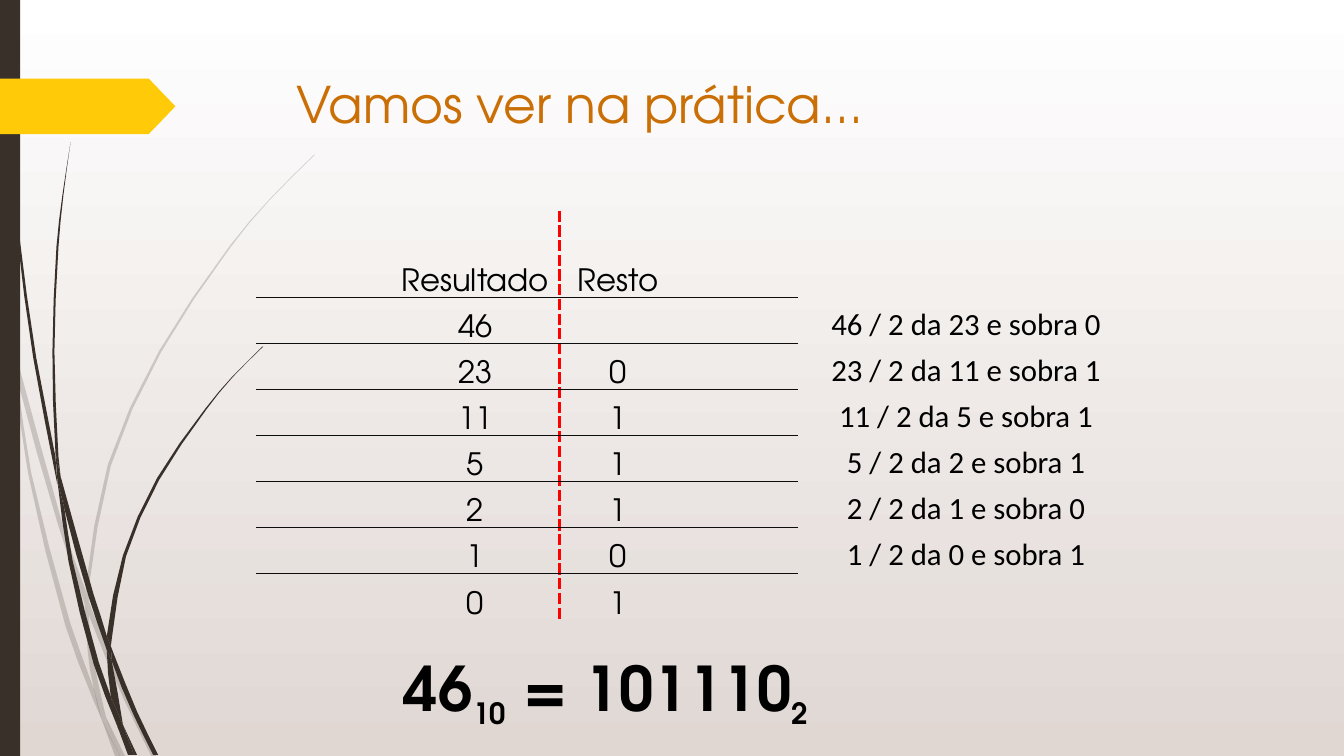
from dataclasses import dataclass

from lxml import etree
from pptx import Presentation
from pptx.dml.color import RGBColor
from pptx.enum.shapes import MSO_SHAPE
from pptx.enum.text import MSO_ANCHOR, MSO_AUTO_SIZE, PP_ALIGN
from pptx.oxml.ns import qn
from pptx.util import Inches, Pt

RECT, ARROW = MSO_SHAPE.RECTANGLE, MSO_SHAPE.PENTAGON
TOP, LOW = MSO_ANCHOR.TOP, MSO_ANCHOR.BOTTOM
LEFT, MID = PP_ALIGN.LEFT, PP_ALIGN.CENTER
NO_FIT, GROW = MSO_AUTO_SIZE.NONE, MSO_AUTO_SIZE.SHAPE_TO_FIT_TEXT


@dataclass(frozen=True)
class Theme:
    sky: str = "FFFFFF"
    sand: str = "E0D7D3"
    dark: str = "39302A"
    gold: str = "FFCA08"
    rust: str = "CA6F06"
    ink: str = "000000"
    rule: str = "0D0D0D"
    red: str = "FF0000"
    main: str = "TeX Gyre Adventor"
    note: str = "Calibri"
    head: int = 36
    body: int = 22
    big: int = 44
    sub: int = 36


class Deck:
    """Holds the theme and the current slide, and draws each kind of element."""

    def __init__(self, theme):
        self.theme = theme
        self.prs = Presentation()
        self.prs.slide_width, self.prs.slide_height = Inches(40 / 3), Inches(7.5)
        self.slide = self.prs.slides.add_slide(self.prs.slide_layouts[5])
        fill = self.slide.background.fill
        fill.gradient()
        fill.gradient_angle = 270
        for stop, color in zip(fill.gradient_stops, (theme.sky, theme.sand)):
            stop.color.rgb = RGBColor.from_string(color)

    def paint(self, shape, color, alpha=100):
        shape.shadow.inherit = False
        shape.fill.solid()
        shape.fill.fore_color.rgb = RGBColor.from_string(color)
        shape.line.fill.background()
        if alpha < 100:
            tone = shape.element.spPr.find(qn("a:solidFill"))[0]
            etree.SubElement(tone, qn("a:alpha"), val=str(alpha * 1000))

    def block(self, kind, box, color):
        shape = self.slide.shapes.add_shape(kind, *map(Inches, box))
        self.paint(shape, color)
        return shape

    def blade(self, left, right, alpha):
        outline = curve(left) + curve(right)[::-1]
        dots = [(Inches(x), Inches(y)) for x, y in outline]
        pen = self.slide.shapes.build_freeform(*dots[0])
        pen.add_line_segments(dots[1:])
        self.paint(pen.convert_to_shape(), self.theme.dark, alpha)

    def run(self, para, text, size, color, font=None, bold=False, base=0):
        run = para.add_run()
        run.text = text
        run.font.name = font or self.theme.main
        run.font.size, run.font.bold = Pt(size), bold
        run.font.color.rgb = RGBColor.from_string(color)
        if base:
            run.font._element.set("baseline", str(base * 1000))

    def title(self, text, box):
        shape = self.slide.shapes.title
        shape.left, shape.top, shape.width, shape.height = map(Inches, box)
        frame = shape.text_frame
        frame.vertical_anchor, frame.auto_size = TOP, NO_FIT
        para = frame.paragraphs[0]
        para.alignment = LEFT
        self.run(para, text, self.theme.head, self.theme.rust)
        shape.element.getparent().append(shape.element)

    def sum(self, parts, box):
        frame = self.slide.shapes.add_textbox(*map(Inches, box)).text_frame
        frame.word_wrap, frame.auto_size = False, GROW
        for text, size, base in parts:
            self.run(frame.paragraphs[0], text, size, self.theme.ink,
                     bold=True, base=base)

    def edge(self, cell, sides):
        props = cell._tc.get_or_add_tcPr()
        for spot, side in enumerate("LRTB"):
            line = etree.Element(qn("a:ln" + side))
            props.insert(spot, line)
            if side not in sides:
                etree.SubElement(line, qn("a:noFill"))
                continue
            color, width, dash = sides[side]
            line.set("w", str(Pt(width)))
            fill = etree.SubElement(line, qn("a:solidFill"))
            etree.SubElement(fill, qn("a:srgbClr"), val=color)
            etree.SubElement(line, qn("a:prstDash"), val=dash)

    def table(self, data, box, cols, rows):
        look = self.theme
        thin, dash = (look.rule, 1, "solid"), (look.red, 3, "sysDash")
        table = self.slide.shapes.add_table(
            len(rows), len(cols), *map(Inches, box)).table
        table.first_row = table.horz_banding = False
        for col, width in zip(table.columns, cols):
            col.width = Inches(width)
        for row, height in zip(table.rows, rows):
            row.height = Inches(height)
        last = len(cols) - 1
        for r, line in enumerate(data):
            for c, text in enumerate(line):
                cell = table.cell(r, c)
                cell.fill.background()
                cell.vertical_anchor = LOW
                cell.margin_left = cell.margin_right = Inches(0.01)
                cell.margin_top, cell.margin_bottom = Inches(0.01), 0
                sides = {}
                if c < last and r > 0:
                    sides["T"] = thin
                if c < last and r < len(rows) - 1:
                    sides["B"] = thin
                if c in (1, 2):
                    sides["R" if c == 1 else "L"] = dash
                self.edge(cell, sides)
                para = cell.text_frame.paragraphs[0]
                para.alignment = MID
                if text:
                    self.run(para, text, look.body, look.ink,
                             look.note if c == last else look.main)


def curve(knots):
    ends = [knots[0], *knots, knots[-1]]
    slopes = [(c[0] - a[0]) / (c[1] - a[1]) for a, c in zip(ends, ends[2:])]
    dots = []
    for i, ((x, y), (u, v)) in enumerate(zip(knots, knots[1:])):
        dots.append((x, y))
        if v - y > 0.3:
            bend = (v - y) * (slopes[i] - slopes[i + 1]) / 8
            dots.append(((x + u) / 2 + bend, (y + v) / 2))
    return dots + [knots[-1]]


PALE = [
    ([(0, 2.82), (0, 2.99), (0.1, 3.44), (0.11, 3.5)], [(0, 2.82), (0.09, 3.22), (0.11, 3.5)]),
    ([(0.14, 3.45), (0.17, 3.76), (0.58, 5.22), (0.84, 5.99)], [(0.14, 3.45), (0.62, 5.2), (0.85, 5.86)]),
    ([(0.88, 5.96), (0.88, 6.1), (1.23, 6.94), (1.5, 7.5)], [(0.88, 5.96), (0.92, 6.07), (1.27, 6.92), (1.55, 7.5)]),
    ([(1.05, 7.11), (1.19, 7.5)], [(1.05, 7.11), (1.24, 7.5)]),
    ([(0.11, 3.5), (0.28, 4.7), (0.65, 6.21), (0.92, 6.93), (1.01, 7.14)],
     [(0.11, 3.5), (0.17, 3.76), (0.31, 4.69), (0.7, 6.19), (0.93, 6.83), (1.01, 7.14)]),
    ([(0.84, 5.99), (0.87, 6.46), (0.93, 6.83), (1.05, 7.11)], [(0.84, 5.99), (0.88, 6.1), (0.91, 6.46), (1.05, 7.11)]),
    ([(3.12, 1.53), (2.68, 1.97), (2.28, 2.44), (1.58, 3.48), (1.07, 4.61), (0.85, 5.84), (0.88, 5.96)],
     [(3.12, 1.54), (2.68, 1.98), (2.29, 2.45), (1.6, 3.49), (1.1, 4.62), (0.88, 5.84), (0.88, 5.96)]),
    ([(1.01, 7.14), (1.14, 7.5)], [(1.01, 7.14), (1.19, 7.5)]),
    ([(0.85, 5.86), (0.84, 5.99), (0.88, 6.1)], [(0.85, 5.86), (0.88, 5.96), (0.88, 6.1)]),
    ([(0.93, 6.83), (1.01, 7.14), (1.19, 7.5)], [(0.93, 6.83), (1.05, 7.11), (1.19, 7.5)]),
]
DEEP = [
    ([(0.03, 0), (0.07, 1.1), (0.17, 2.33), (0.33, 3.55), (0.57, 4.81)],
     [(0.04, 0), (0.08, 1.09), (0.19, 2.32), (0.36, 3.55), (0.55, 4.53), (0.57, 4.81)]),
    ([(0.6, 4.72), (0.64, 5.05), (0.88, 5.92), (1.06, 6.45)], [(0.6, 4.72), (0.93, 5.9), (1.06, 6.31), (1.06, 6.45)]),
    ([(1.1, 6.41), (1.11, 6.56), (1.32, 7.08), (1.52, 7.49)], [(1.1, 6.41), (1.13, 6.49), (1.36, 7.06), (1.57, 7.49)]),
    ([(0.57, 4.77), (0.68, 5.57), (0.93, 6.59), (1.17, 7.22)],
     [(0.57, 4.77), (0.64, 5.05), (0.72, 5.56), (0.98, 6.57), (1.1, 6.91), (1.17, 7.22)]),
    ([(0.7, 1.41), (0.62, 1.93), (0.56, 2.45), (0.52, 3.49), (0.55, 4.49), (0.6, 4.72)],
     [(0.7, 1.41), (0.63, 1.93), (0.58, 2.45), (0.54, 3.49), (0.58, 4.53), (0.6, 4.72)]),
    ([(1.22, 7.19), (1.33, 7.49)], [(1.22, 7.19), (1.36, 7.49)]),
    ([(0.55, 4.49), (0.57, 4.77), (0.64, 5.05)], [(0.55, 4.49), (0.6, 4.72), (0.64, 5.05)]),
    ([(2.6, 3.44), (2.31, 3.73), (2.04, 4.05), (1.56, 4.74), (1.22, 5.51), (1.06, 6.31), (1.1, 6.41)],
     [(2.61, 3.44), (2.31, 3.74), (2.05, 4.06), (1.58, 4.76), (1.25, 5.52), (1.11, 6.33), (1.1, 6.41)]),
    ([(1.17, 7.22), (1.27, 7.49)], [(1.17, 7.22), (1.31, 7.49)]),
    ([(1.06, 6.45), (1.1, 6.91), (1.22, 7.19)], [(1.06, 6.45), (1.11, 6.56), (1.22, 7.19)]),
    ([(1.06, 6.31), (1.06, 6.45), (1.11, 6.56)], [(1.06, 6.31), (1.1, 6.41), (1.11, 6.56)]),
    ([(1.1, 6.91), (1.17, 7.22), (1.3, 7.49)], [(1.1, 6.91), (1.22, 7.19), (1.33, 7.49)]),
]


def main():
    look = Theme()
    deck = Deck(look)
    for group, alpha in ((PALE, 20), (DEEP, 100)):
        for left, right in group:
            deck.blade(left, right, alpha)
    deck.block(RECT, (0, 0, 0.2, 7.5), look.dark)
    tag = deck.block(ARROW, (0, 0.78, 1.74, 0.55), look.gold)
    tag.adjustments[0] = 0.48

    start = 46
    data = [["", "Resultado", "Resto", "", ""]]
    num, rest = start, ""
    while num:
        half, odd = divmod(num, 2)
        data.append(["", str(num), rest, "", f"{num} / 2 da {half} e sobra {odd}"])
        num, rest = half, str(odd)
    data.append(["", str(num), rest, "", ""])
    deck.table(data, (2.54, 2.09, 8.71, 4.06), (1.34, 1.67, 1.16, 1.21, 3.33),
               [0.86] + [(4.06 - 0.86) / 7] * 7)
    deck.sum([(str(start), look.big, 0), ("10", look.sub, -25),
              (f" = {start:b}", look.big, 0), ("2", look.sub, -25)],
             (3.91, 6.4, 4.33, 0.84))
    deck.title("Vamos ver na prática...", (2.84, 0.68, 9.75, 1.4))
    deck.prs.save("out.pptx")


if __name__ == "__main__":
    main()
